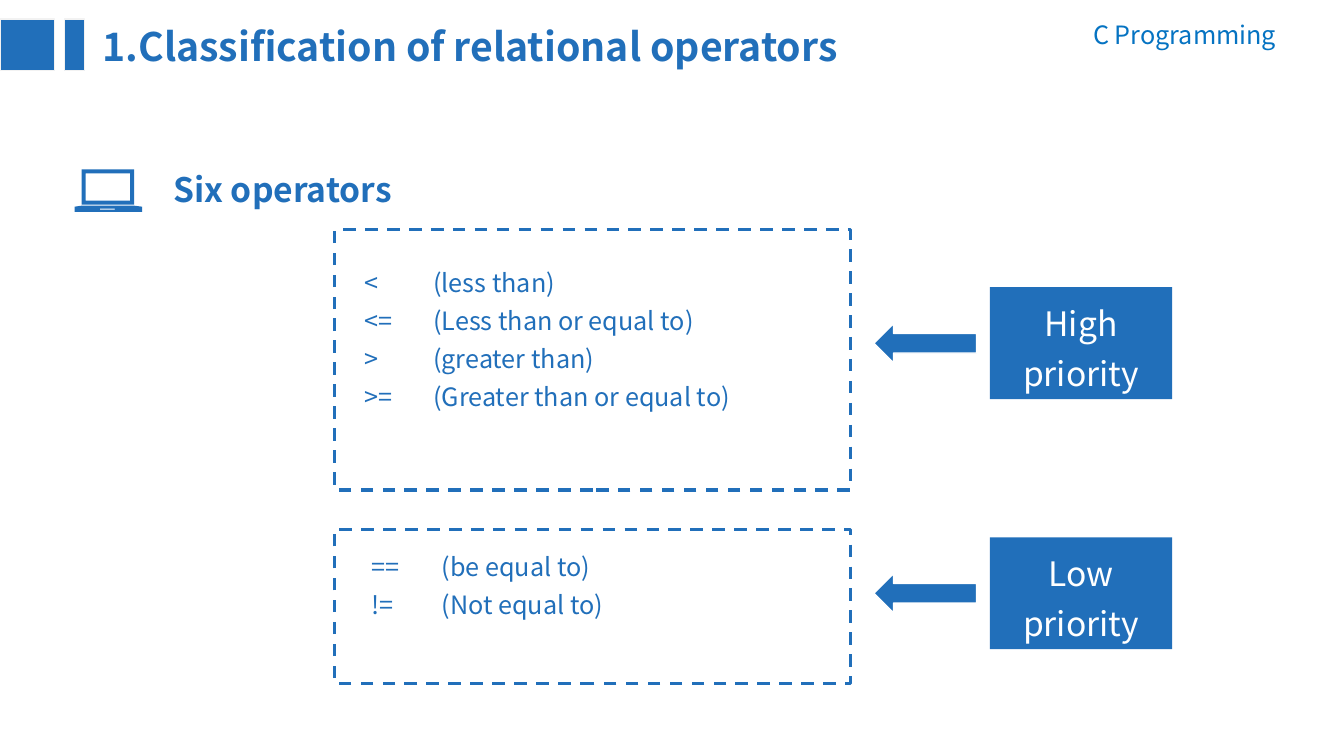
from lxml.etree import SubElement
from pptx import Presentation
from pptx.dml.color import RGBColor
from pptx.enum.dml import MSO_LINE_DASH_STYLE as Dash
from pptx.enum.shapes import MSO_SHAPE as Shape
from pptx.enum.text import MSO_ANCHOR as Anchor, MSO_AUTO_SIZE as AutoSize, PP_ALIGN as Align
from pptx.oxml.ns import qn
from pptx.util import Pt

BLUE = RGBColor(0x21, 0x6F, 0xBA)
COURSE_BLUE = RGBColor(0x05, 0x73, 0xC2)
WHITE = RGBColor(0xFF, 0xFF, 0xFF)
PALE_GREY = RGBColor(0xF2, 0xF2, 0xF2)
FONT = "Noto Sans CJK SC"

# Contours of the laptop in hundredths of an inch from its top left corner
LAPTOP_CONTOURS = [
    [(25, 39), (25, 40), (40, 40), (40, 39)],
    [(7, 36), (59, 36), (67, 37), (67, 42), (0, 42), (0, 37)],
    [(11, 4), (11, 31), (55, 31), (55, 4)],
    [(7, 0), (59, 0), (59, 35), (7, 35)],
]

HIGH_OPERATORS = [
    "<\t(less than)",
    "<=\t(Less than or equal to)",
    ">\t(greater than)",
    ">=\t(Greater than or equal to)",
]
LOW_OPERATORS = ["==\t(be equal to)", "!=\t(Not equal to)"]


def write(shape, lines, size, color=BLUE, bold=False, align=Align.LEFT, spacing=1.0, tab=None):
    """Fill a shape with one paragraph per line; tab is a tab stop in points."""
    frame = shape.text_frame
    frame.word_wrap = True
    frame.auto_size = AutoSize.SHAPE_TO_FIT_TEXT
    for index, line in enumerate(lines):
        paragraph = frame.paragraphs[0] if index == 0 else frame.add_paragraph()
        paragraph.text = line
        paragraph.alignment = align
        paragraph.line_spacing = spacing
        if tab:
            tab_list = SubElement(paragraph._p.get_or_add_pPr(), qn("a:tabLst"))
            SubElement(tab_list, qn("a:tab"), pos=str(Pt(tab)), algn="l")
        for name, value in {"name": FONT, "size": Pt(size), "bold": bold}.items():
            setattr(paragraph.font, name, value)
        paragraph.font.color.rgb = color


def add_text(slide, box, lines, size, **formats):
    shape = slide.shapes.add_textbox(*map(Pt, box))
    write(shape, lines, size, **formats)


def add_block(slide, kind, box, fill=BLUE, line=None, width=1):
    shape = slide.shapes.add_shape(kind, *map(Pt, box))
    shape.shadow.inherit = False
    if fill is None:
        shape.fill.background()
    else:
        shape.fill.solid()
        shape.fill.fore_color.rgb = fill
    if line is None:
        shape.line.fill.background()
    else:
        shape.line.color.rgb = line
        shape.line.width = Pt(width)
    return shape


def add_header(slide, left, top):
    add_text(slide, (left + 702.7, top - 3.6, 216, 28.8), ["C Programming"], 18,
             color=COURSE_BLUE, align=Align.RIGHT)
    add_text(slide, (left + 66.2, top - 1.4, 597.6, 41),
             ["1.Classification of relational operators"], 28, bold=True)
    for offset, width in ((0, 38.9), (46.1, 14.4)):
        add_block(slide, Shape.RECTANGLE, (left + offset, top, width, 36.7), line=PALE_GREY)


def add_laptop(slide, left, top):
    first, *others = LAPTOP_CONTOURS
    builder = slide.shapes.build_freeform(*first[0], scale=Pt(0.72))
    builder.add_line_segments(first[1:], close=True)
    for contour in others:
        builder.move_to(*contour[0])
        builder.add_line_segments(contour[1:], close=True)
    laptop = builder.convert_to_shape(Pt(left), Pt(top))
    laptop.shadow.inherit = False
    laptop.fill.solid()
    laptop.fill.fore_color.rgb = BLUE
    laptop.line.fill.background()


def add_section_heading(slide, left, top):
    add_laptop(slide, left, top + 9.4)
    add_text(slide, (left + 63.4, top, 391, 41.8), ["Six operators"], 24,
             bold=True, spacing=1.2)


def add_priority_row(slide, box, operators, text_offset, tab, label, badge_offset):
    """Dashed operator list, with an arrow pointing to it from its priority badge."""
    left, top, width, height = box
    text_left, text_top = left + text_offset[0], top + text_offset[1]
    add_text(slide, (text_left, text_top, 306, 27.2 * len(operators) + 7.2), operators, 18,
             spacing=1.25, tab=tab)
    border = add_block(slide, Shape.RECTANGLE, box, fill=None, line=BLUE, width=2.25)
    border.line.dash_style = Dash.DASH

    badge_top, badge_height, arrow_height = top + badge_offset, 80, 28
    arrow_top = badge_top + (badge_height - arrow_height) / 2
    add_block(slide, Shape.LEFT_ARROW, (left + width + 16.6, arrow_top, 73.4, arrow_height),
              line=WHITE)
    badge = add_block(slide, Shape.RECTANGLE,
                      (left + width + 99.4, badge_top, 130.3, badge_height))
    badge.text_frame.vertical_anchor = Anchor.MIDDLE
    write(badge, [label], 24, color=WHITE, align=Align.CENTER, spacing=1.25)


def main():
    presentation = Presentation()
    presentation.slide_width, presentation.slide_height = Pt(960), Pt(540)
    slide = presentation.slides.add_slide(presentation.slide_layouts[6])
    add_header(slide, 0, 13.7)
    add_section_heading(slide, 53.3, 111.6)
    add_priority_row(slide, (239, 164.2, 368.6, 185.8), HIGH_OPERATORS, (14.4, 18), 49,
                     "High priority", 41)
    add_priority_row(slide, (239, 378, 368.6, 110.2), LOW_OPERATORS, (19.4, 7.2), 50,
                     "Low priority", 5.8)
    presentation.save("out.pptx")


if __name__ == "__main__":
    main()
